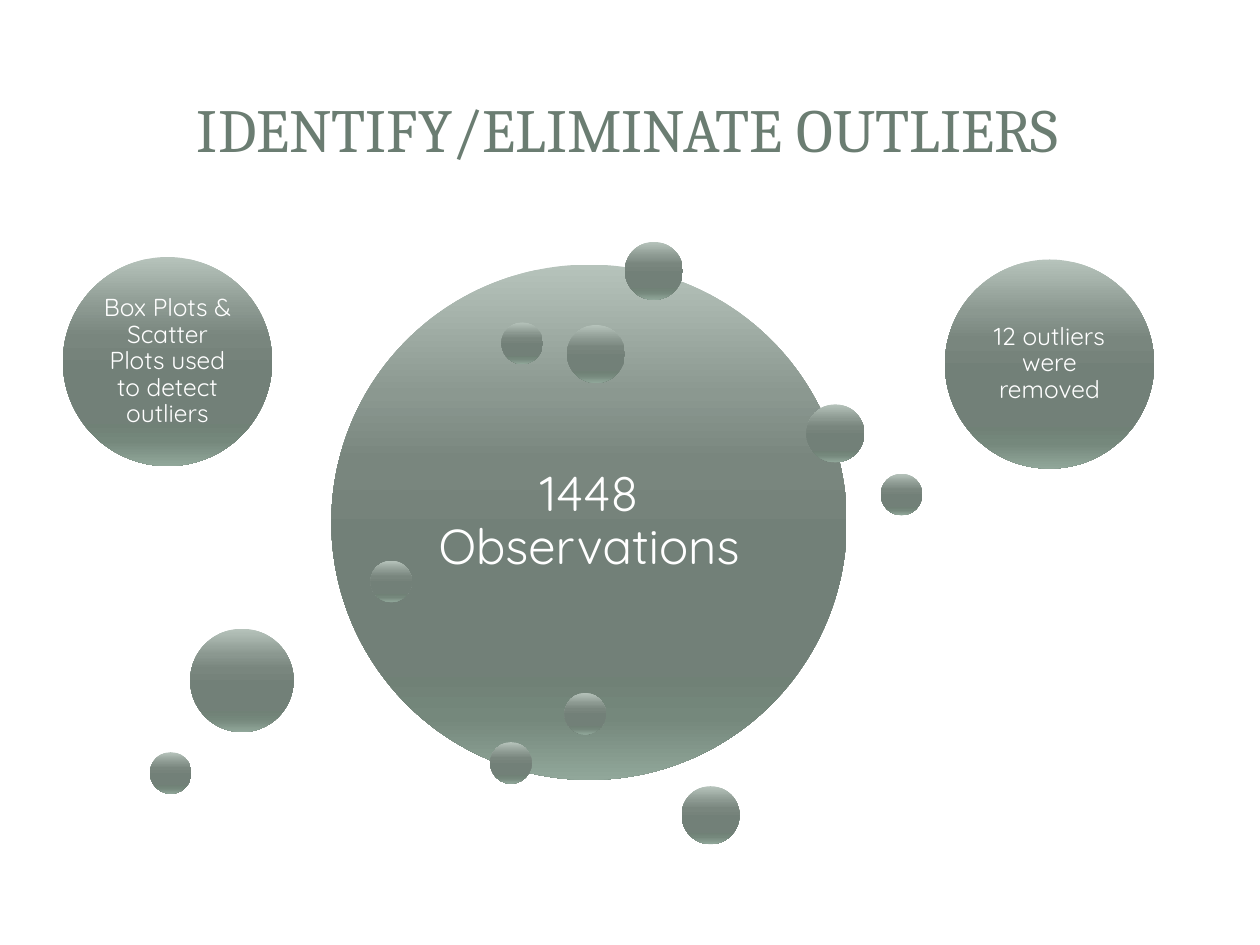
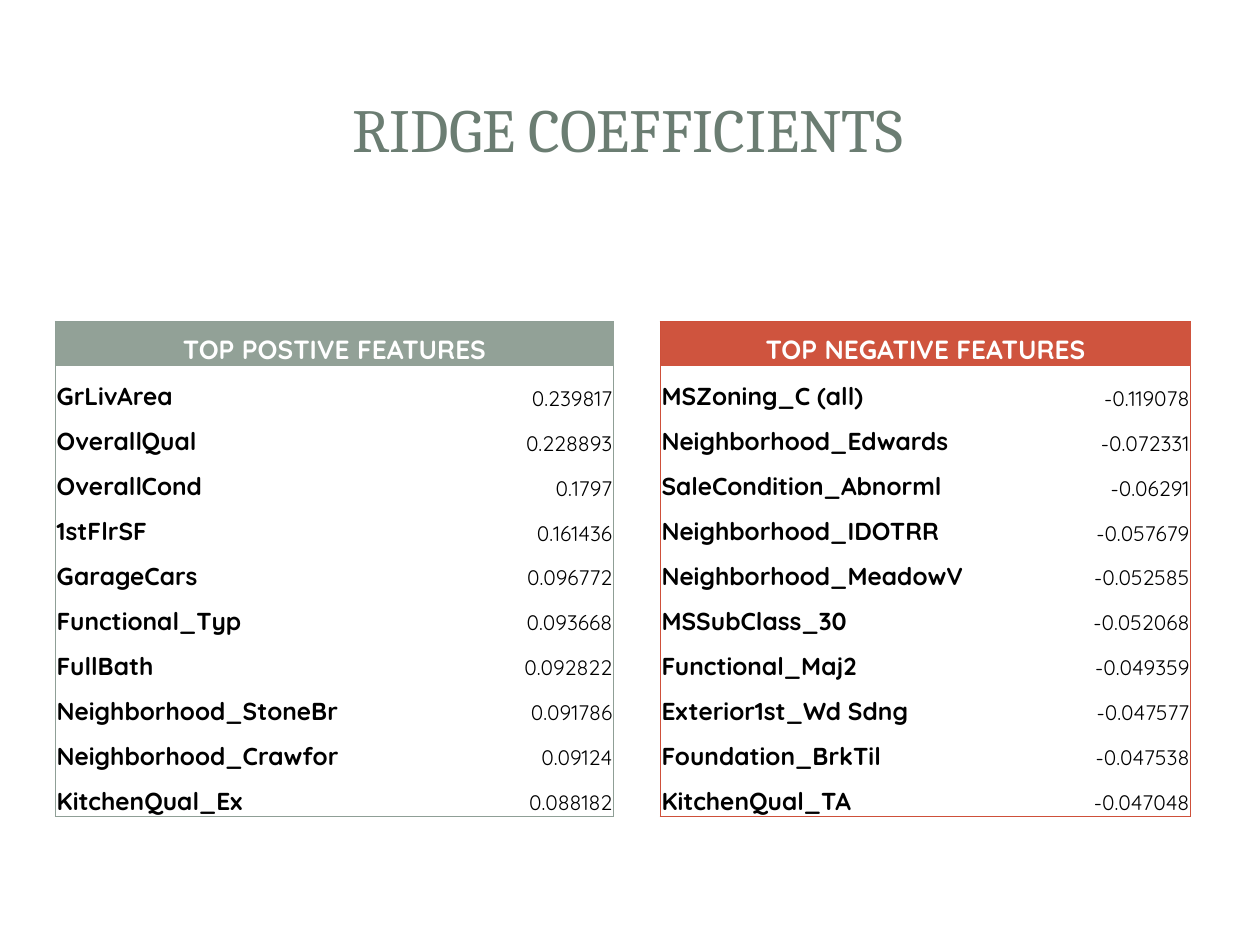
"""Build two slides on outlier removal and ridge regression coefficients."""
from dataclasses import dataclass

from lxml.etree import SubElement
from pptx import Presentation
from pptx.dml.color import RGBColor
from pptx.enum.shapes import MSO_SHAPE
from pptx.enum.text import MSO_ANCHOR, PP_ALIGN
from pptx.oxml.ns import qn
from pptx.slide import Slide
from pptx.table import _Cell as Cell
from pptx.text.text import TextFrame
from pptx.util import Inches, Pt


@dataclass(frozen=True)
class Theme:
    title_font: str = "Cambria"
    body_font: str = "Quicksand"
    title: str = "6B7D72"
    white: str = "FFFFFF"
    black: str = "000000"
    sage: str = "8F9F96"
    sage_fill: str = "92A197"
    red: str = "CE503A"
    red_fill: str = "CF543E"
    bubble_stops: tuple[tuple[int, str], ...] = (
        (0, "B6C3BB"), (25, "8B9890"), (38, "79867E"), (55, "728078"),
        (80, "708176"), (88, "75887C"), (100, "91A79A"),
    )
    title_size: int = 35
    big_size: int = 28
    header_size: int = 15
    label_size: int = 14
    value_size: int = 12
    border: float = 0.75


THEME = Theme()
SMALL, MEDIUM, LARGE, CAPTIONED, MAIN = 0.33, 0.46, 0.82, 1.66, 4.09


@dataclass(frozen=True)
class Panel:
    kind: MSO_SHAPE
    left: float
    top: float
    width: float
    height: float
    opacity: int = 100


@dataclass(frozen=True)
class Bubble:
    left: float
    top: float
    size: float
    text: str = ""
    font_size: int = THEME.label_size
    inset: float = 0.06


@dataclass(frozen=True)
class FeatureTable:
    left: float
    widths: tuple[float, float]
    line: str
    fill: str
    heading: str
    rows: tuple[tuple[str, str], ...]
    top: float = 2.55
    height: float = 3.93


PANELS = (
    Panel(MSO_SHAPE.ROUNDED_RECTANGLE, 0.1, 0.11, 9.8, 7.29),
    Panel(MSO_SHAPE.RECTANGLE, 0.3, 0.3, 9.4, 1.45, 83),
    Panel(MSO_SHAPE.RECTANGLE, 0.41, 0.41, 9.17, 1.22),
)

BUBBLES = (
    Bubble(2.63, 2.1, MAIN, "1448 Observations", THEME.big_size, 0.12),
    Bubble(4.96, 1.92, MEDIUM),
    Bubble(3.89, 5.89, SMALL),
    Bubble(6.99, 3.76, SMALL),
    Bubble(5.41, 6.24, MEDIUM),
    Bubble(3.98, 2.56, SMALL),
    Bubble(2.94, 4.45, SMALL),
    Bubble(0.5, 2.04, CAPTIONED, "Box Plots & Scatter Plots used to detect outliers"),
    Bubble(4.5, 2.58, MEDIUM),
    Bubble(1.51, 4.99, LARGE),
    Bubble(7.5, 2.06, CAPTIONED, "12 outliers were removed"),
    Bubble(6.4, 3.21, MEDIUM),
    Bubble(1.19, 5.97, SMALL),
    Bubble(4.48, 5.5, SMALL),
)

FEATURE_TABLES = (
    FeatureTable(0.44, (3.26, 1.17), THEME.sage, THEME.sage_fill, "TOP POSTIVE FEATURES", (
        ("GrLivArea", "0.239817"),
        ("OverallQual", "0.228893"),
        ("OverallCond", "0.1797"),
        ("1stFlrSF", "0.161436"),
        ("GarageCars", "0.096772"),
        ("Functional_Typ", "0.093668"),
        ("FullBath", "0.092822"),
        ("Neighborhood_StoneBr", "0.091786"),
        ("Neighborhood_Crawfor", "0.09124"),
        ("KitchenQual_Ex", "0.088182"),
    )),
    FeatureTable(5.24, (3.11, 1.1), THEME.red, THEME.red_fill, "TOP NEGATIVE FEATURES", (
        ("MSZoning_C (all)", "-0.119078"),
        ("Neighborhood_Edwards", "-0.072331"),
        ("SaleCondition_Abnorml", "-0.06291"),
        ("Neighborhood_IDOTRR", "-0.057679"),
        ("Neighborhood_MeadowV", "-0.052585"),
        ("MSSubClass_30", "-0.052068"),
        ("Functional_Maj2", "-0.049359"),
        ("Exterior1st_Wd Sdng", "-0.047577"),
        ("Foundation_BrkTil", "-0.047538"),
        ("KitchenQual_TA", "-0.047048"),
    )),
)


def write(tf: TextFrame, text: str, size: int, color: str, align: PP_ALIGN,
          font: str = THEME.body_font, bold: bool = False, spacing: float = 1.0) -> None:
    p = tf.paragraphs[0]
    p.alignment, p.line_spacing = align, spacing
    r = p.add_run()
    r.text = text
    for name, value in {"name": font, "size": Pt(size), "bold": bold}.items():
        setattr(r.font, name, value)
    r.font.color.rgb = RGBColor.from_string(color)


def add_panel(s: Slide, panel: Panel) -> None:
    sp = s.shapes.add_shape(panel.kind, Inches(panel.left), Inches(panel.top),
                            Inches(panel.width), Inches(panel.height))
    sp.shadow.inherit = False
    sp.line.fill.background()
    sp.fill.solid()
    sp.fill.fore_color.rgb = RGBColor.from_string(THEME.white)
    if panel.kind == MSO_SHAPE.ROUNDED_RECTANGLE:
        sp.adjustments[0] = 0.02
    if panel.opacity < 100:
        color = sp._element.spPr.find(f"{qn('a:solidFill')}/{qn('a:srgbClr')}")
        SubElement(color, qn("a:alpha"), val=str(panel.opacity * 1000))


def add_title_slide(prs: Presentation, title: str) -> Slide:
    s = prs.slides.add_slide(prs.slide_layouts[6])
    for panel in PANELS:
        add_panel(s, panel)
    box = s.shapes.add_textbox(Inches(0.47), Inches(0.45), Inches(9.03), Inches(1.14))
    tf = box.text_frame
    tf.word_wrap, tf.vertical_anchor = True, MSO_ANCHOR.MIDDLE
    write(tf, title, THEME.title_size, THEME.title, PP_ALIGN.CENTER, THEME.title_font)
    return s


def add_bubble(s: Slide, bubble: Bubble) -> None:
    size = Inches(bubble.size)
    sp = s.shapes.add_shape(MSO_SHAPE.OVAL, Inches(bubble.left), Inches(bubble.top), size, size)
    sp.shadow.inherit = False
    sp.line.fill.background()
    sp.fill.gradient()
    sp.fill.gradient_angle = 270
    stops = sp._element.spPr.find(f"{qn('a:gradFill')}/{qn('a:gsLst')}")
    for stop in list(stops):
        stops.remove(stop)
    for percent, color in THEME.bubble_stops:
        stop = SubElement(stops, qn("a:gs"), pos=str(percent * 1000))
        SubElement(stop, qn("a:srgbClr"), val=color)
    if bubble.text:
        tf = sp.text_frame
        inset = Inches(bubble.inset)
        layout = {"word_wrap": True, "vertical_anchor": MSO_ANCHOR.MIDDLE,
                  "margin_left": inset, "margin_right": inset,
                  "margin_top": inset, "margin_bottom": inset}
        for name, value in layout.items():
            setattr(tf, name, value)
        write(tf, bubble.text, bubble.font_size, THEME.white, PP_ALIGN.CENTER, spacing=0.9)


def set_borders(cell: Cell, color: str, sides: dict[str, bool]) -> None:
    tc_pr = cell._tc.get_or_add_tcPr()
    for side, visible in sides.items():
        ln = SubElement(tc_pr, qn(f"a:ln{side}"), w=str(Pt(THEME.border)))
        if visible:
            fill = SubElement(ln, qn("a:solidFill"))
            SubElement(fill, qn("a:srgbClr"), val=color)
        else:
            SubElement(ln, qn("a:noFill"))


def add_feature_table(s: Slide, features: FeatureTable) -> None:
    count = len(features.rows) + 1
    table = s.shapes.add_table(count, 2, Inches(features.left), Inches(features.top),
                               Inches(sum(features.widths)), Inches(features.height)).table
    for column, width in zip(table.columns, features.widths):
        column.width = Inches(width)
    margin = Inches(0.01)
    layout = {"margin_left": margin, "margin_right": margin, "margin_top": margin,
              "margin_bottom": 0, "vertical_anchor": MSO_ANCHOR.BOTTOM}
    for i, row in enumerate(table.rows):
        row.height = Inches(features.height / count)
        for j, cell in enumerate(row.cells):
            for name, value in layout.items():
                setattr(cell, name, value)
            set_borders(cell, features.line, {"L": j == 0, "R": j == 1,
                                              "T": i == 0, "B": i == count - 1})
            if i == 0:
                cell.fill.solid()
                cell.fill.fore_color.rgb = RGBColor.from_string(features.fill)
            else:
                cell.fill.background()
    heading = table.cell(0, 0)
    heading.merge(table.cell(0, 1))
    write(heading.text_frame, features.heading, THEME.header_size, THEME.white,
          PP_ALIGN.CENTER, bold=True)
    for i, (feature, coefficient) in enumerate(features.rows, start=1):
        write(table.cell(i, 0).text_frame, feature, THEME.label_size, THEME.black,
              PP_ALIGN.LEFT, bold=True)
        write(table.cell(i, 1).text_frame, coefficient, THEME.value_size, THEME.black,
              PP_ALIGN.RIGHT)


def main() -> None:
    prs = Presentation()
    prs.slide_width, prs.slide_height = Inches(10), Inches(7.5)
    outliers = add_title_slide(prs, "IDENTIFY/ELIMINATE OUTLIERS")
    for bubble in BUBBLES:
        add_bubble(outliers, bubble)
    ridge = add_title_slide(prs, "RIDGE COEFFICIENTS")
    for features in FEATURE_TABLES:
        add_feature_table(ridge, features)
    prs.save("out.pptx")


if __name__ == "__main__":
    main()
